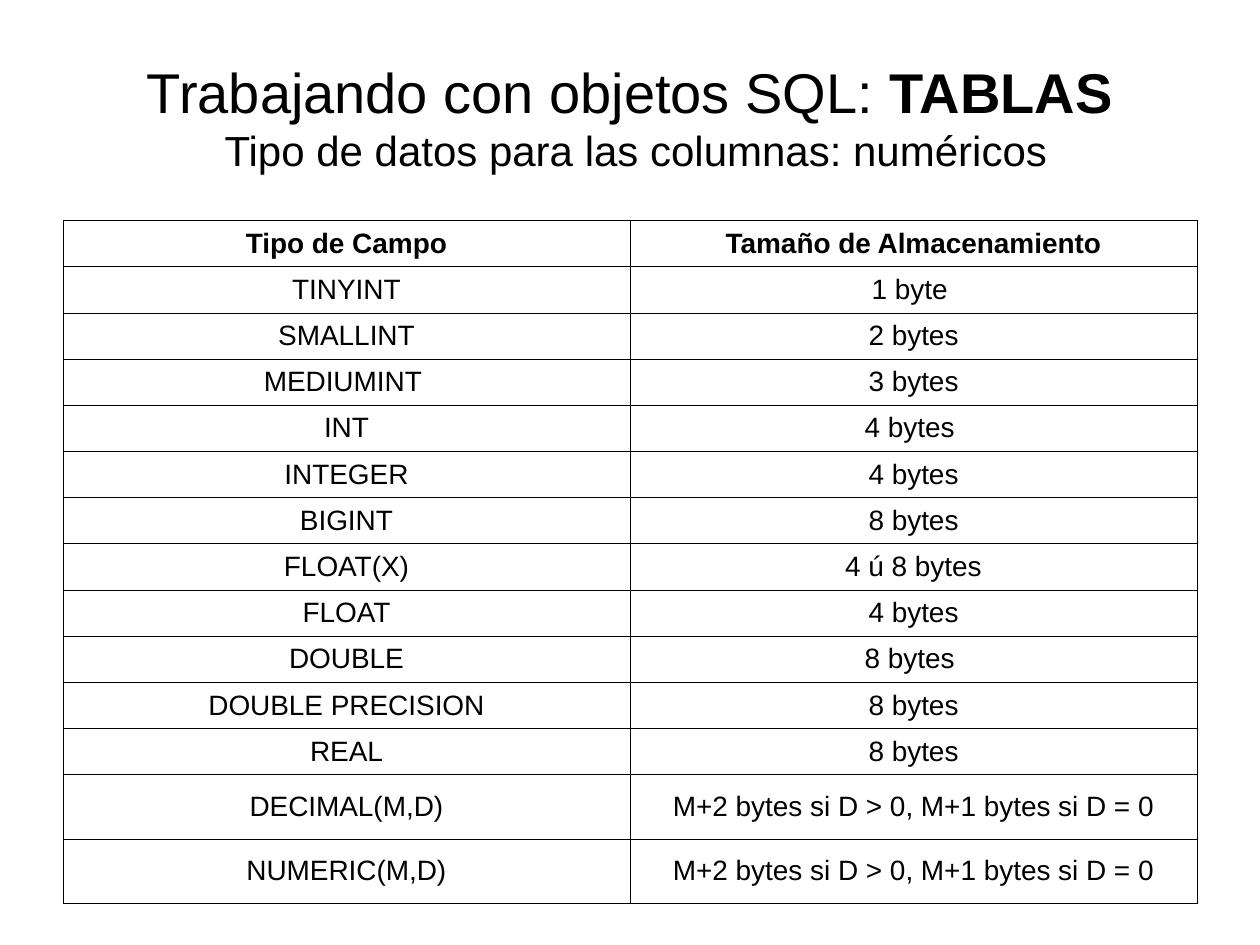
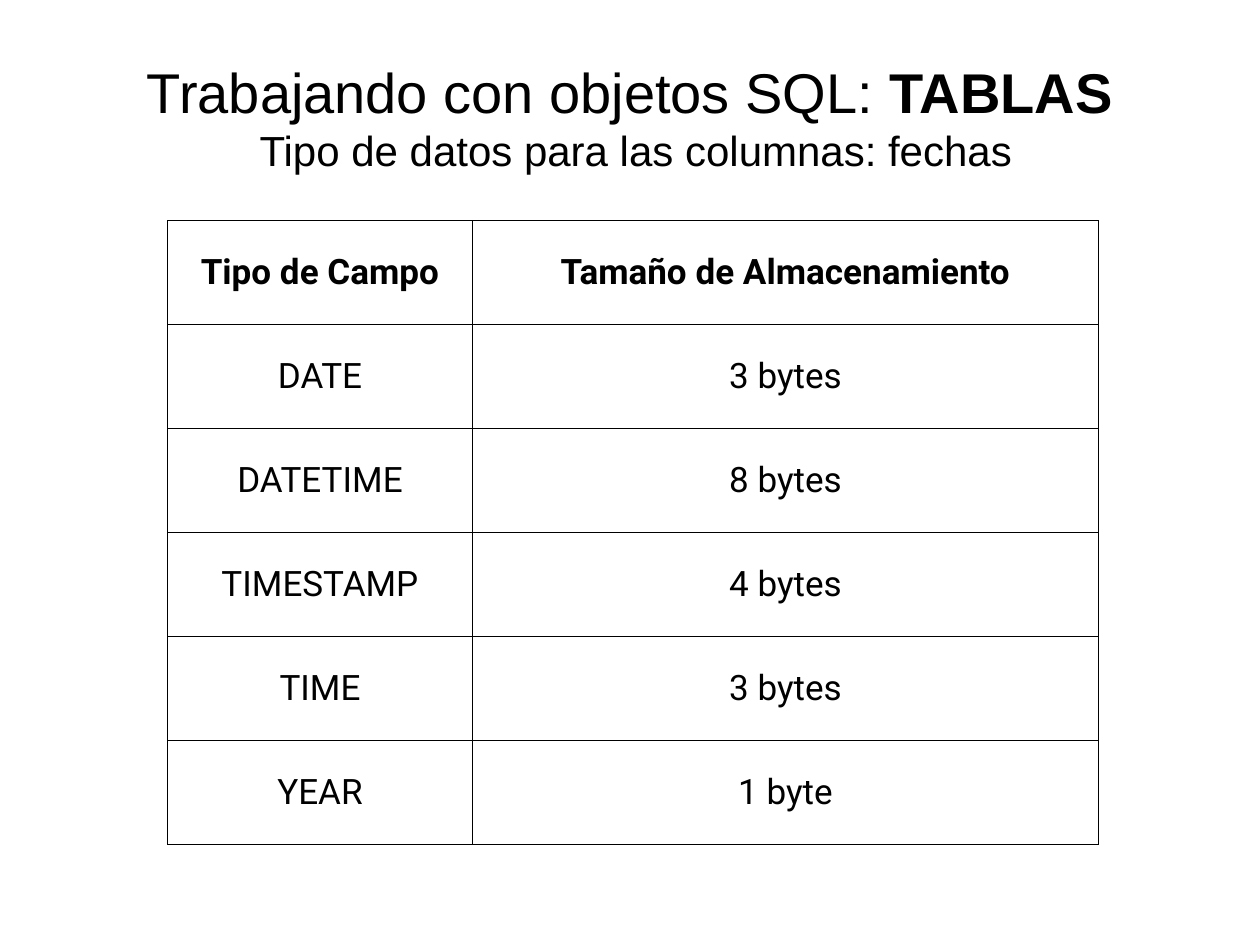
from copy import deepcopy

from lxml.etree import SubElement
from pptx import Presentation
from pptx.dml.color import RGBColor
from pptx.enum.text import MSO_ANCHOR as Anchor, MSO_AUTO_SIZE as AutoSize, PP_ALIGN as Align
from pptx.oxml.ns import qn
from pptx.util import Inches, Pt

COLORS = {"ink": "000000", "paper": "FFFFFF"}
TITLE_FONT = "Arial"
BORDER_WIDTH = Pt(0.45)
HEADINGS = ("Tipo de Campo", "Tamaño de Almacenamiento")
DECIMAL_SIZE = "M+2 bytes si D > 0, M+1 bytes si D = 0"

NUMERIC_TYPES = [
    ("TINYINT", "1 byte "),
    ("SMALLINT", "2 bytes"),
    ("MEDIUMINT ", "3 bytes"),
    ("INT", "4 bytes "),
    ("INTEGER", "4 bytes"),
    ("BIGINT", "8 bytes"),
    ("FLOAT(X)", "4 ú 8 bytes"),
    ("FLOAT", "4 bytes"),
    ("DOUBLE", "8 bytes "),
    ("DOUBLE PRECISION", "8 bytes"),
    ("REAL", "8 bytes"),
    ("DECIMAL(M,D)", DECIMAL_SIZE),
    ("NUMERIC(M,D)", DECIMAL_SIZE),
]
DATE_TYPES = [
    ("DATE", "3 bytes"),
    ("DATETIME", "8 bytes"),
    ("TIMESTAMP", "4 bytes"),
    ("TIME", "3 bytes"),
    ("YEAR", "1 byte"),
]


class Deck:
    def __init__(self):
        self.prs = Presentation()
        self.prs.slide_width = Inches(10)
        self.prs.slide_height = Inches(7.5)
        self.slide = None

    def new_slide(self, topic):
        self.slide = self.prs.slides.add_slide(self.prs.slide_layouts[5])
        background = self.slide.background.fill
        background.solid()
        background.fore_color.rgb = RGBColor.from_string(COLORS["paper"])
        self.title(topic)

    def run(self, paragraph, text, font, size, bold=False):
        run = paragraph.add_run()
        run.text = text
        for key, value in {"name": font, "size": Pt(size), "bold": bold}.items():
            setattr(run.font, key, value)
        run.font.color.rgb = RGBColor.from_string(COLORS["ink"])
        return run

    def title(self, topic):
        heading = self.slide.shapes.title
        place = {"left": 0.5, "top": 0.3, "width": 9, "height": 1.25}
        for side, inches in place.items():
            setattr(heading, side, Inches(inches))
        frame = heading.text_frame
        layout = {"word_wrap": True, "auto_size": AutoSize.NONE, "vertical_anchor": Anchor.MIDDLE}
        for key, value in layout.items():
            setattr(frame, key, value)
        paragraph = frame.paragraphs[0]
        paragraph.alignment = Align.CENTER
        self.run(paragraph, "Trabajando con objetos SQL: ", TITLE_FONT, 32)
        subject = self.run(paragraph, "TABLAS", TITLE_FONT, 32, True)
        line_break = SubElement(paragraph._p, qn("a:br"))
        line_break.append(deepcopy(subject._r.rPr))
        self.run(paragraph, " ", TITLE_FONT, 24, True)
        self.run(paragraph, f"Tipo de datos para las columnas: {topic}", TITLE_FONT, 24)

    def border(self, cell):
        properties = cell._tc.get_or_add_tcPr()
        for side in ("lnL", "lnR", "lnT", "lnB"):
            line = SubElement(properties, qn(f"a:{side}"), w=str(BORDER_WIDTH))
            fill = SubElement(line, qn("a:solidFill"))
            SubElement(fill, qn("a:srgbClr"), val=COLORS["ink"])

    def table(self, left, widths, heights, rows, font, size):
        grid = self.slide.shapes.add_table(
            len(rows), len(widths), Inches(left), Inches(1.75),
            Inches(sum(widths)), Inches(sum(heights))).table
        grid.horz_banding = False
        for column, width in zip(grid.columns, widths):
            column.width = Inches(width)
        for number, (row, height, texts) in enumerate(zip(grid.rows, heights, rows)):
            row.height = Inches(height)
            for cell, text in zip(row.cells, texts):
                self.border(cell)
                cell.fill.background()
                cell.vertical_anchor = Anchor.MIDDLE
                paragraph = cell.text_frame.paragraphs[0]
                paragraph.alignment = Align.CENTER
                self.run(paragraph, text, font, size, bold=number == 0)


def main():
    deck = Deck()

    deck.new_slide("numéricos")
    tall_rows = [0.51] * 2
    short_count = len(NUMERIC_TYPES) + 1 - len(tall_rows)
    short_rows = [(5.42 - sum(tall_rows)) / short_count] * short_count
    deck.table(0.5, [4.5, 4.5], short_rows + tall_rows,
               [HEADINGS] + NUMERIC_TYPES, "Arial", 16)

    deck.new_slide("fechas")
    date_rows = [HEADINGS] + DATE_TYPES
    deck.table(1.33, [2.42, 4.97], [4.95 / len(date_rows)] * len(date_rows),
               date_rows, "Roboto", 20)

    deck.prs.save("out.pptx")


if __name__ == "__main__":
    main()
